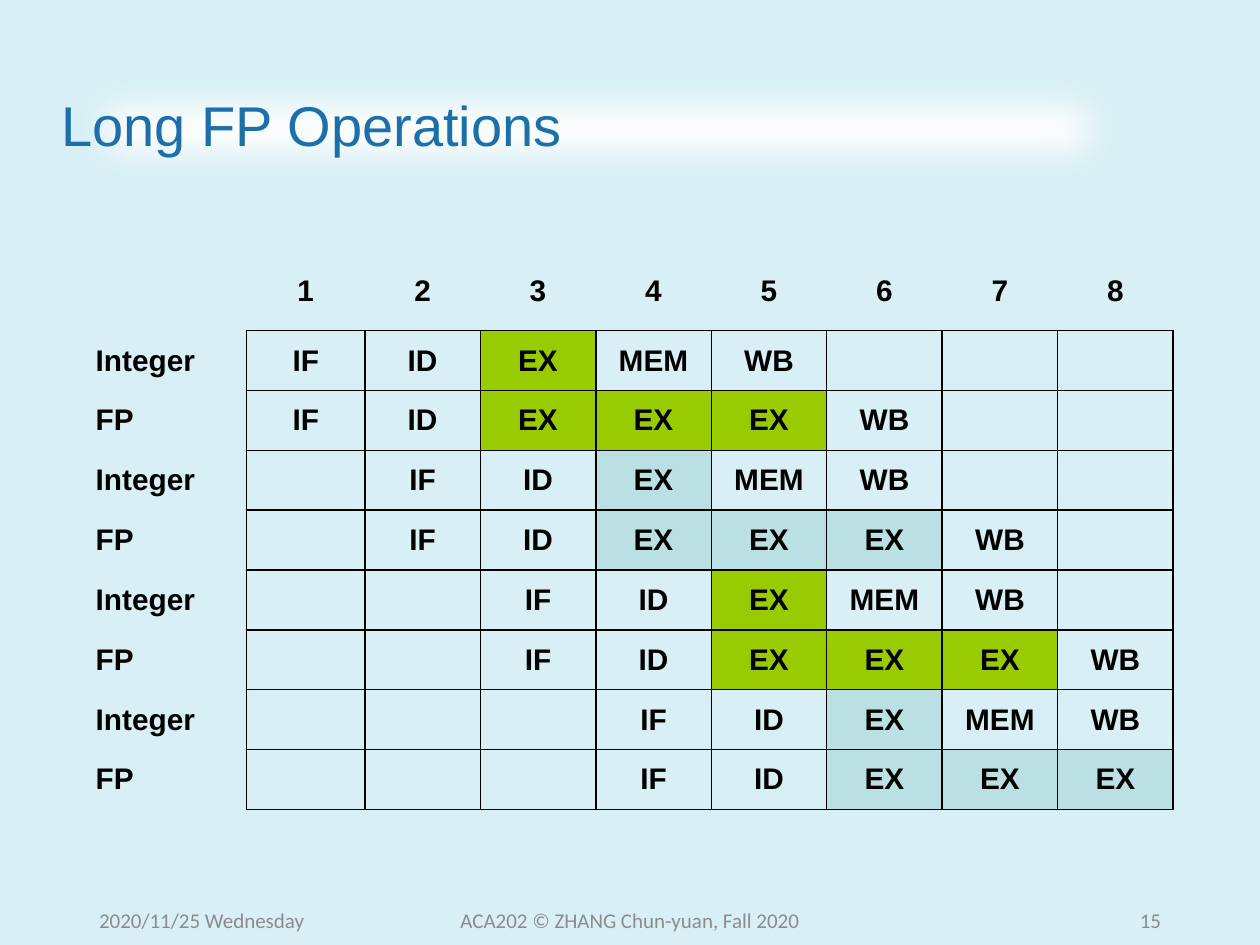
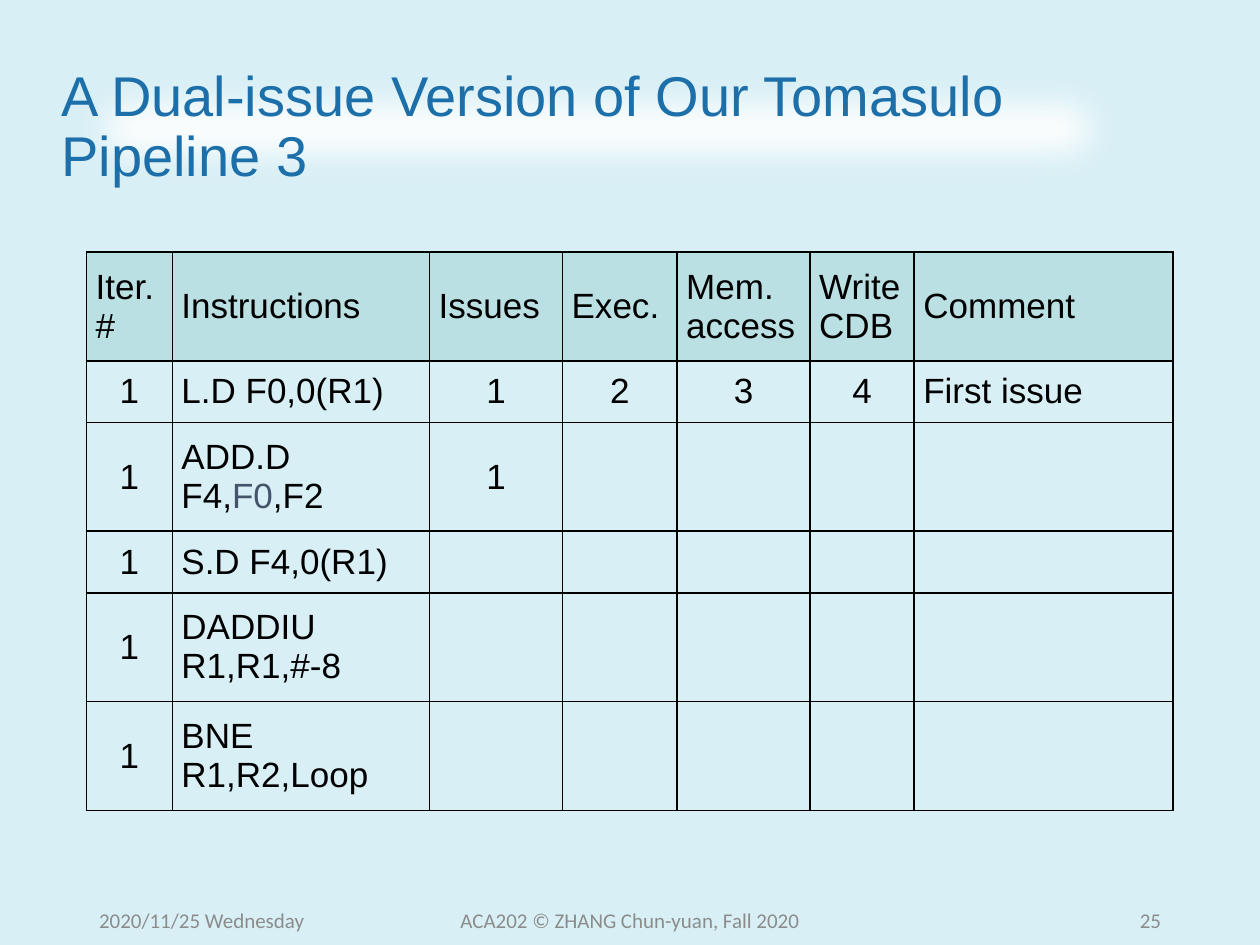
from lxml import etree
from pptx import Presentation
from pptx.dml.color import RGBColor
from pptx.enum import shapes, text
from pptx.oxml import ns
from pptx.util import Pt

COLORS = {
    "page": "D7EFF5",
    "band": "FFFFFF",
    "title": "1D6FA9",
    "ink": "000000",
    "footer": "8C8C8C",
    "green": "99CC00",
    "teal": "BBE0E3",
    "operand": "44546A",
}
LEFT, CENTER, RIGHT, JUSTIFY = (
    text.PP_ALIGN.LEFT, text.PP_ALIGN.CENTER, text.PP_ALIGN.RIGHT, text.PP_ALIGN.JUSTIFY)

# Boxes are left, top, width, height in points
TITLE_BOX = (28, 29, 626, 88.5)
TABLE_BOX = (49.5, 144, 621, 319)
FOOTER_BOX = (49.5, 511, 621, 29)
SOFT_EDGE = 25

STAGES = {
    "Integer": ["IF", "ID", "EX", "MEM", "WB"],
    "FP": ["IF", "ID", "EX", "EX", "EX", "WB"],
}
CYCLES = 8
ISSUE_PAIRS = 4

ISSUE_TABLE = [
    ["Iter. #", "Instructions", "Issues", "Exec.", "Mem. access", "Write CDB", "Comment"],
    ["1", "L.D F0,0(R1)", "1", "2", "3", "4", "First issue"],
    ["1", "ADD.D F4,F0,F2", "1", "", "", "", ""],
    ["1", "S.D F4,0(R1)", "", "", "", "", ""],
    ["1", "DADDIU R1,R1,#-8", "", "", "", "", ""],
    ["1", "BNE R1,R2,Loop", "", "", "", "", ""],
]


def rgb(name):
    return RGBColor.from_string(COLORS[name])


def points(box):
    return [Pt(length) for length in box]


def style_runs(paragraph, size, color, font="Arial", bold=False):
    for run in paragraph.runs:
        run.font.size = Pt(size)
        run.font.name = font
        run.font.bold = bold
        run.font.color.rgb = rgb(color)


def add_title(slide, box, title):
    """Place the title on a white band with soft edges."""
    band = slide.shapes.add_shape(shapes.MSO_SHAPE.RECTANGLE, *points(box))
    band.fill.solid()
    band.fill.fore_color.rgb = rgb("band")
    band.line.fill.background()
    band.shadow.inherit = False
    effects = band._element.spPr.find(ns.qn("a:effectLst"))
    etree.SubElement(effects, ns.qn("a:softEdge"), rad=str(Pt(SOFT_EDGE)))
    frame = band.text_frame
    frame.word_wrap = True
    frame.vertical_anchor = text.MSO_ANCHOR.MIDDLE
    frame.text = title
    heading = frame.paragraphs[0]
    heading.alignment = LEFT
    heading.line_spacing = 0.9
    style_runs(heading, 32, "title")


def add_footer(slide, box, number):
    left, top, width, height = box
    date_width, course_width = 162, 243
    parts = [
        ("2020/11/25 Wednesday", 0, date_width, LEFT),
        ("ACA202 © ZHANG Chun-yuan, Fall 2020", (width - course_width) / 2, course_width, CENTER),
        (str(number), width - date_width, date_width, RIGHT),
    ]
    for words, offset, part_width, alignment in parts:
        part = slide.shapes.add_textbox(*points((left + offset, top, part_width, height)))
        frame = part.text_frame
        frame.word_wrap = True
        frame.vertical_anchor = text.MSO_ANCHOR.MIDDLE
        frame.text = words
        frame.paragraphs[0].alignment = alignment
        style_runs(frame.paragraphs[0], 12, "footer", "Calibri")


def set_borders(cell, drawn):
    """Draw a black line on the sides in drawn, and none on the others."""
    properties = cell._tc.get_or_add_tcPr()
    for place, side in enumerate("LRTB"):
        line = etree.Element(ns.qn(f"a:ln{side}"), w=str(Pt(1)))
        if side in drawn:
            fill = etree.SubElement(line, ns.qn("a:solidFill"))
            etree.SubElement(fill, ns.qn("a:srgbClr"), val=COLORS["ink"])
        else:
            etree.SubElement(line, ns.qn("a:noFill"))
        properties.insert(place, line)


def add_grid(slide, box, widths, heights):
    """Add a plain table with the given column widths and row heights."""
    grid = slide.shapes.add_table(len(heights), len(widths), *points(box)).table
    grid.first_row = grid.horz_banding = False
    for column, width in zip(grid.columns, widths):
        column.width = Pt(width)
    for row, height in zip(grid.rows, heights):
        row.height = Pt(height)
    return grid


def fill_cell(cell, words, alignment, size, bold=False, fill=None, borders="LRTB"):
    cell.margin_left = cell.margin_right = Pt(5.2)
    cell.margin_top = cell.margin_bottom = Pt(2.9)
    cell.vertical_anchor = text.MSO_ANCHOR.MIDDLE
    if fill:
        cell.fill.solid()
        cell.fill.fore_color.rgb = rgb(fill)
    else:
        cell.fill.background()
    set_borders(cell, borders)
    cell.text_frame.text = words
    line = cell.text_frame.paragraphs[0]
    line.alignment = alignment
    line.font.size = Pt(size)
    style_runs(line, size, "ink", bold=bold)


def add_pipeline(slide, box):
    """Each Integer and FP pair starts one cycle after the pair before it."""
    widths = [91.5, 67.5] + [66] * (CYCLES - 1)
    heights = [45] + [34.2] * (2 * ISSUE_PAIRS)
    grid = add_grid(slide, box, widths, heights)
    for cycle in range(CYCLES + 1):
        fill_cell(grid.cell(0, cycle), str(cycle or ""), CENTER, 17, bold=True,
                  borders="B" if cycle else "")
    for row in range(1, 2 * ISSUE_PAIRS + 1):
        pair = (row - 1) // 2
        kind = "Integer" if row % 2 else "FP"
        fill_cell(grid.cell(row, 0), kind, JUSTIFY, 17, bold=True, borders="R")
        timeline = [""] * pair + STAGES[kind] + [""] * CYCLES
        execute_fill = "teal" if pair % 2 else "green"
        for cycle, stage in enumerate(timeline[:CYCLES], start=1):
            fill_cell(grid.cell(row, cycle), stage, CENTER, 17, bold=True,
                      fill=execute_fill if stage == "EX" else None)


def mark_operand(cell, operand):
    """Give the operand inside the cell's instruction its own colour."""
    line = cell.text_frame.paragraphs[0]
    before, after = line.runs[0].text.split(operand)
    line.runs[0].text = before
    for piece in (operand, after):
        line.add_run().text = piece
    style_runs(line, 20, "ink")
    line.runs[1].font.color.rgb = rgb("operand")


def add_issue_table(slide, box):
    widths = [49, 147, 76, 65.5, 76, 59.5, 148]
    tall, short = 62.2, 35.2
    grid = add_grid(slide, box, widths, [tall, short, tall, short, tall, tall])
    worded_columns = (1, 6)
    for r, values in enumerate(ISSUE_TABLE):
        for c, words in enumerate(values):
            alignment = JUSTIFY if r == 0 or c in worded_columns else CENTER
            fill_cell(grid.cell(r, c), words, alignment, 20, fill=None if r else "teal")
    mark_operand(grid.cell(2, 1), "F0")


def add_page(deck, title, number, add_content):
    slide = deck.slides.add_slide(deck.slide_layouts[6])
    slide.background.fill.solid()
    slide.background.fill.fore_color.rgb = rgb("page")
    add_title(slide, TITLE_BOX, title)
    add_content(slide, TABLE_BOX)
    add_footer(slide, FOOTER_BOX, number)


def main():
    deck = Presentation()
    deck.slide_width, deck.slide_height = Pt(720), Pt(540)
    add_page(deck, "Long FP Operations", 15, add_pipeline)
    add_page(deck, "A Dual-issue Version of Our Tomasulo Pipeline 3", 25, add_issue_table)
    deck.save("out.pptx")


if __name__ == "__main__":
    main()
